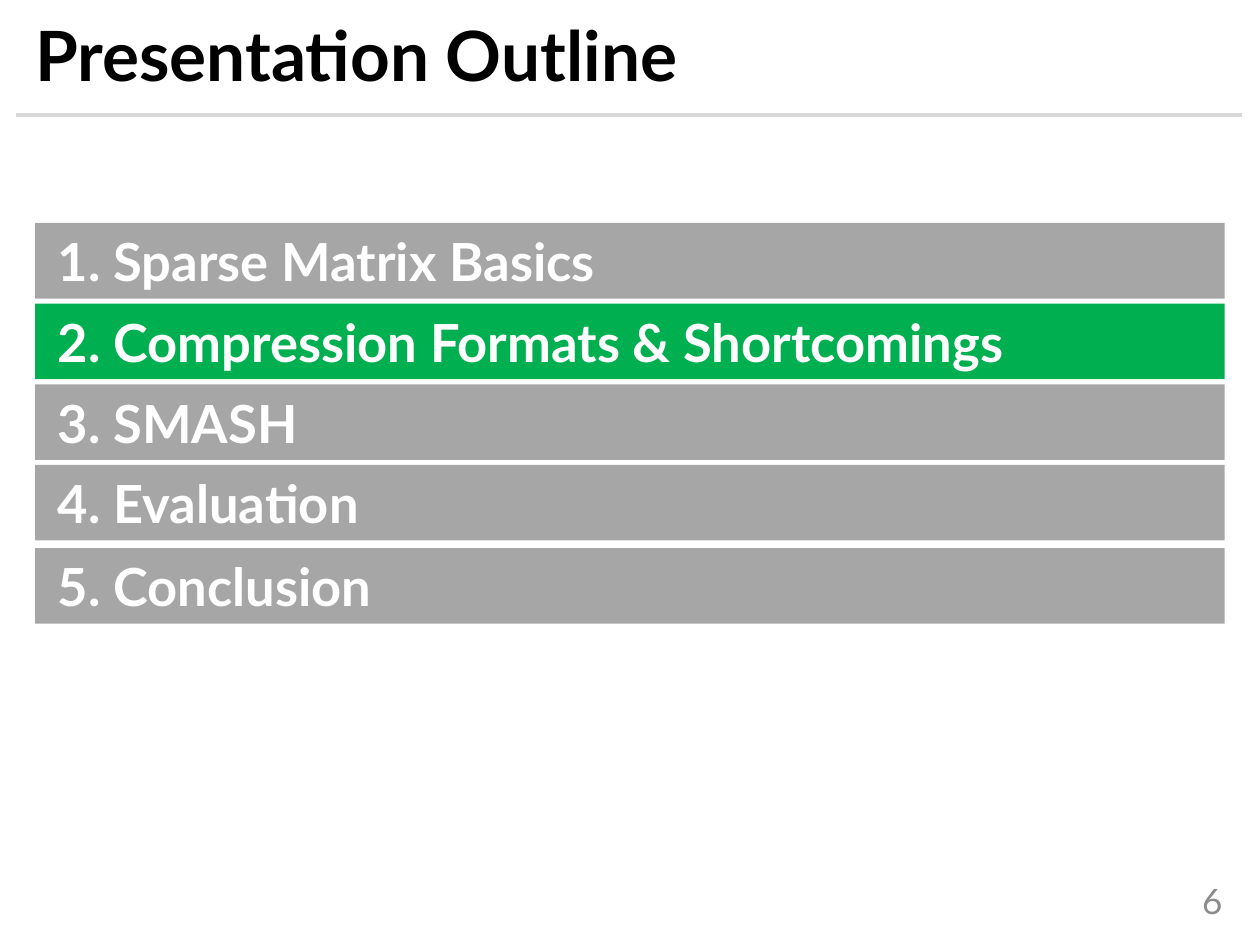
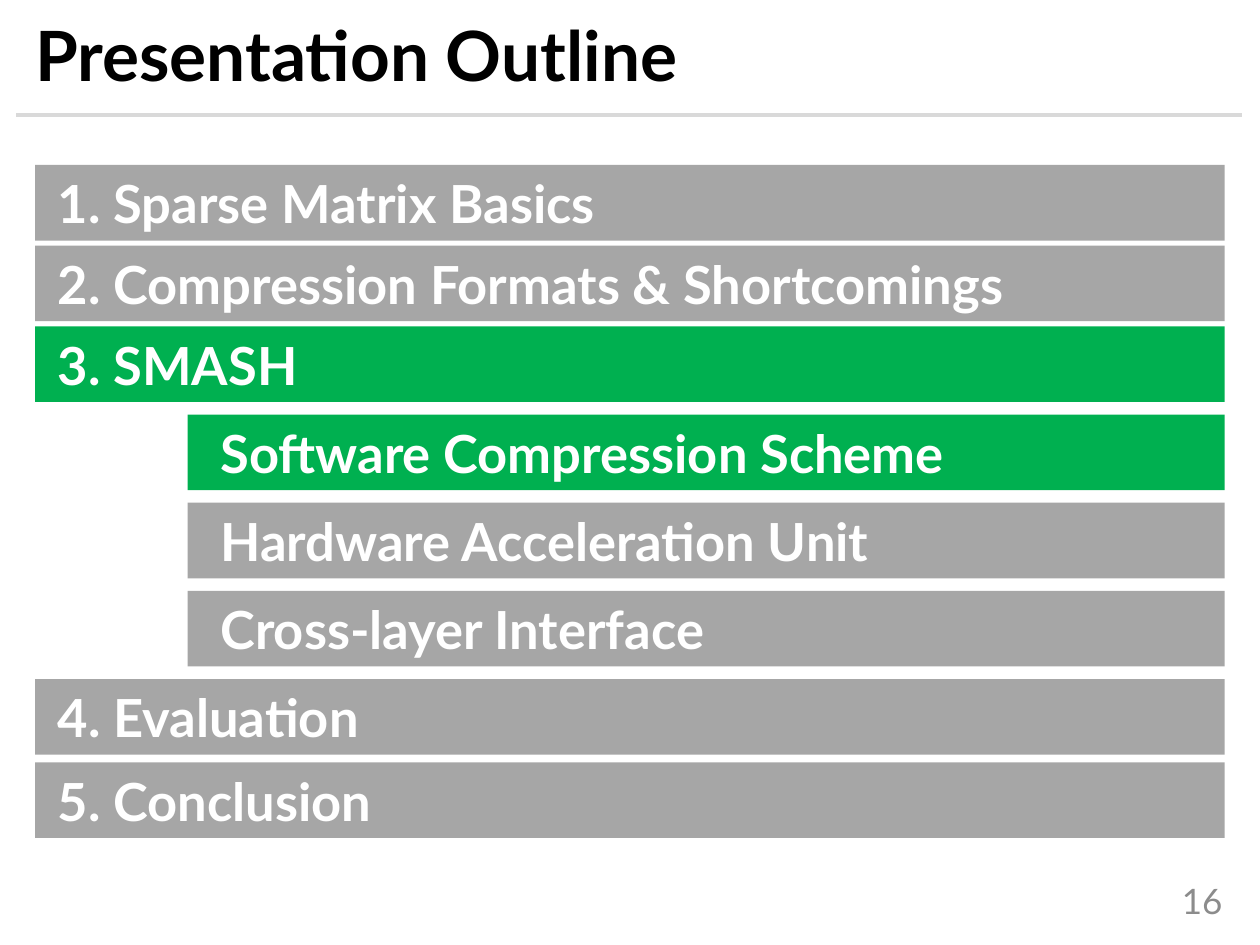
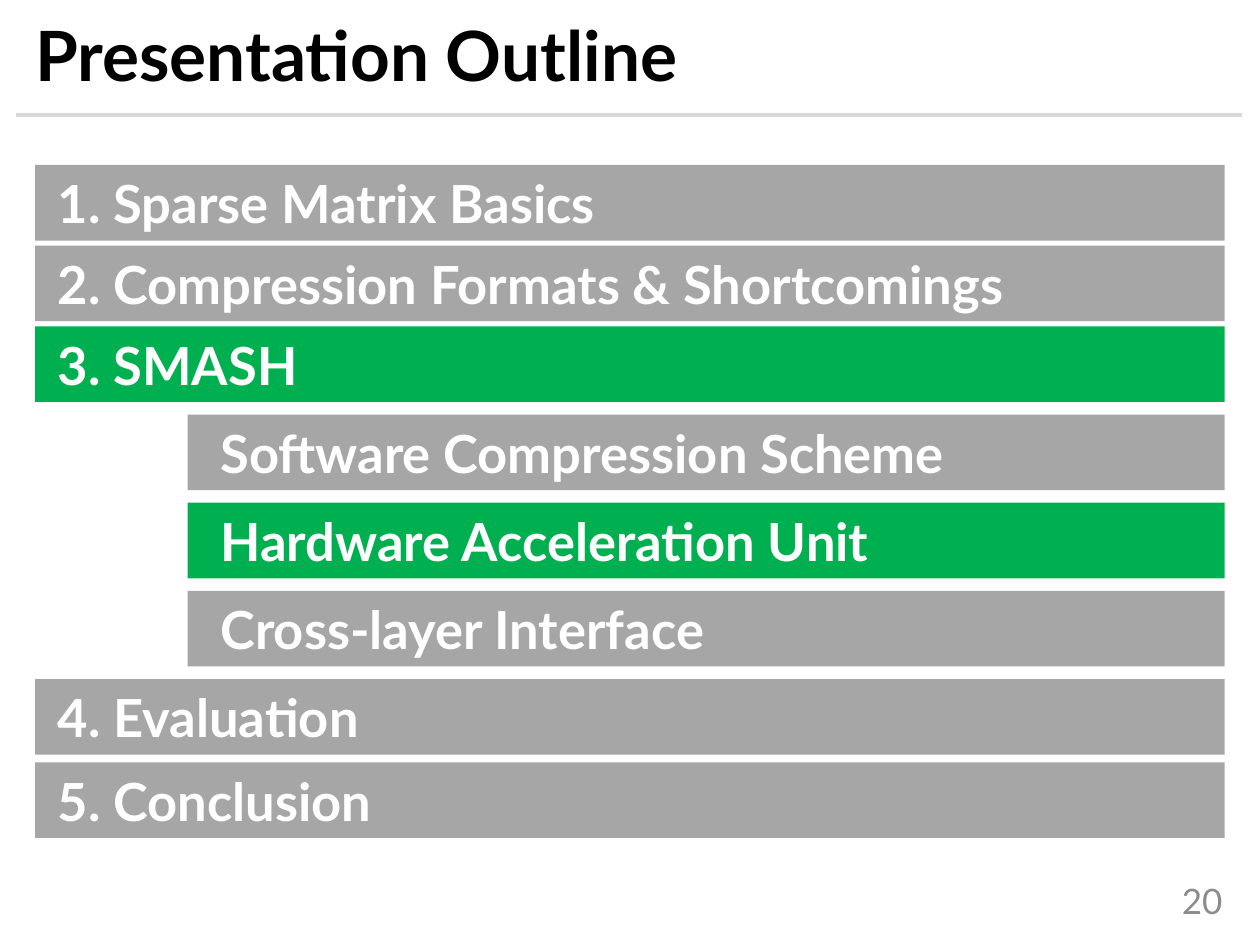
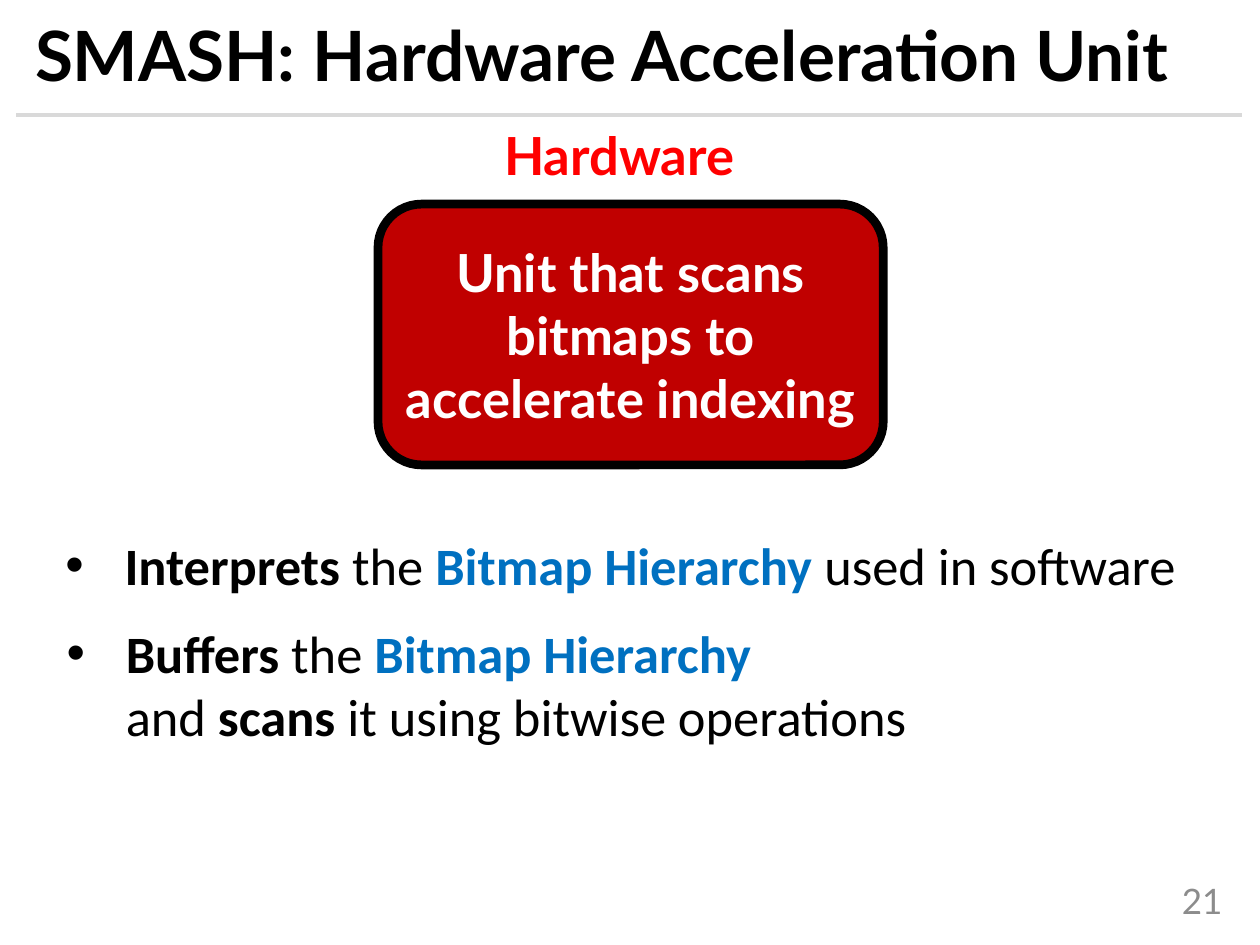
from dataclasses import dataclass

from lxml import etree
from pptx import Presentation
from pptx.dml.color import RGBColor
from pptx.enum.shapes import MSO_CONNECTOR, MSO_SHAPE
from pptx.enum.text import MSO_ANCHOR, PP_ALIGN
from pptx.oxml.ns import qn
from pptx.util import Inches, Pt

LEFT, CENTER, RIGHT = PP_ALIGN.LEFT, PP_ALIGN.CENTER, PP_ALIGN.RIGHT
TOP, MIDDLE = MSO_ANCHOR.TOP, MSO_ANCHOR.MIDDLE
RECTANGLE, ROUNDED = MSO_SHAPE.RECTANGLE, MSO_SHAPE.ROUNDED_RECTANGLE
STRAIGHT = MSO_CONNECTOR.STRAIGHT


@dataclass(frozen=True)
class Theme:
    black: str = "000000"
    white: str = "FFFFFF"
    rule: str = "D9D9D9"
    number: str = "8C8C8C"
    idle: str = "A6A6A6"
    active: str = "00B050"
    heading: str = "FF0000"
    unit: str = "C00000"
    term: str = "0070C0"
    font: str = "Lato"
    bullet_font: str = "Calibri"
    title_size: float = 39.6
    body_size: float = 30
    number_size: float = 20
    rule_width: float = 2.25
    unit_line: float = 5


THEME = Theme()

CHAPTER_GAP, TOPIC_GAP, LAST_GAP = 0.04, 0.1, 0.06
BAR_HEIGHT, BAR_RIGHT = 0.6, 9.72
CHAPTER_LEFT, TOPIC_LEFT = 0.28, 1.49
CHAPTER_INSET, TOPIC_INSET = 0.18, 0.26
TITLE_BOX = (0.18, 0.14, 9.73, 0.66)
NUMBER_BOX = (8.72, 6.95, 1.08, 0.4)
RULE_LEFT, RULE_RIGHT, RULE_TOP = 0.13, 9.86, 0.91
BULLET_INDENT = 0.47

OUTLINE_TITLE = "Presentation Outline"
CHAPTERS = [
    "1. Sparse Matrix Basics",
    "2. Compression Formats & Shortcomings",
    "3. SMASH",
    "4. Evaluation",
    "5. Conclusion",
]
SMASH = CHAPTERS[2]
TOPICS = [
    "Software Compression Scheme",
    "Hardware Acceleration Unit",
    "Cross-layer Interface",
]
OUTLINES = [
    {"number": "6", "top": 1.77, "topics": [], "active": {CHAPTERS[1]}},
    {"number": "16", "top": 1.31, "topics": TOPICS, "active": {SMASH, TOPICS[0]}},
    {"number": "20", "top": 1.31, "topics": TOPICS, "active": {SMASH, TOPICS[1]}},
]

UNIT_NUMBER = "21"
UNIT_TITLE = "SMASH: Hardware Acceleration Unit"
UNIT_HEADING = ("Hardware", (3.84, 0.93, 2.15, 0.61))
UNIT_SUMMARY = ("Unit that scans bitmaps to accelerate indexing", (3, 1.62, 4.01, 2.07))
UNIT_DUTIES = [
    ((0.42, 4.18, 9.37, 0.62), [
        [("Interprets", "strong"), (" the ", "plain"),
         ("Bitmap Hierarchy ", "term"), ("used in software", "plain")],
    ]),
    ((0.43, 4.88, 9.37, 1.11), [
        [("Buffers", "strong"), (" the ", "plain"), ("Bitmap Hierarchy", "term")],
        [("and ", "plain"), ("scans", "strong"),
         (" it using bitwise operations", "plain")],
    ]),
]
DUTY_STYLES = {
    "plain": (THEME.black, False),
    "strong": (THEME.black, True),
    "term": (THEME.term, True),
}


def rgb(color):
    return RGBColor.from_string(color)


def add_run(paragraph, text, size, color, bold=False, font=THEME.font):
    run = paragraph.add_run()
    run.text = text
    run.font.name = font
    run.font.size = Pt(size)
    run.font.bold = bold
    run.font.color.rgb = rgb(color)


def prepare_frame(shape, anchor, align=LEFT, inset=0.1):
    frame = shape.text_frame
    frame.word_wrap = True
    frame.vertical_anchor = anchor
    frame.margin_left = Inches(inset)
    frame.paragraphs[0].alignment = align
    return frame


def add_label(slide, box, text, size, color, bold=False, align=LEFT, anchor=MIDDLE):
    label = slide.shapes.add_textbox(*map(Inches, box))
    paragraph = prepare_frame(label, anchor, align).paragraphs[0]
    add_run(paragraph, text, size, color, bold)
    return paragraph


def add_block(slide, kind, box, fill):
    block = slide.shapes.add_shape(kind, *map(Inches, box))
    block.shadow.inherit = False
    block.fill.solid()
    block.fill.fore_color.rgb = rgb(fill)
    block.line.fill.background()
    return block


def add_base_slide(deck, title, number):
    slide = deck.slides.add_slide(deck.slide_layouts[6])
    add_label(slide, NUMBER_BOX, number, THEME.number_size, THEME.number, align=RIGHT)
    rule = slide.shapes.add_connector(
        STRAIGHT, Inches(RULE_LEFT), Inches(RULE_TOP), Inches(RULE_RIGHT), Inches(RULE_TOP))
    rule.line.color.rgb = rgb(THEME.rule)
    rule.line.width = Pt(THEME.rule_width)
    etree.SubElement(rule.element.spPr, qn("a:effectLst"))
    heading = add_label(slide, TITLE_BOX, title, THEME.title_size, THEME.black, True)
    heading.line_spacing = 0.9
    return slide


def gap_between(previous, entry):
    if previous in TOPICS or entry in TOPICS:
        return TOPIC_GAP
    return LAST_GAP if entry == CHAPTERS[-1] else CHAPTER_GAP


def add_outline(deck, outline):
    slide = add_base_slide(deck, OUTLINE_TITLE, outline["number"])
    split = CHAPTERS.index(SMASH) + 1
    entries = CHAPTERS[:split] + outline["topics"] + CHAPTERS[split:]
    top = outline["top"]
    for position, entry in enumerate(entries):
        if position:
            top += BAR_HEIGHT + gap_between(entries[position - 1], entry)
        is_topic = entry in TOPICS
        left = TOPIC_LEFT if is_topic else CHAPTER_LEFT
        fill = THEME.active if entry in outline["active"] else THEME.idle
        bar = add_block(slide, RECTANGLE, (left, top, BAR_RIGHT - left, BAR_HEIGHT), fill)
        frame = prepare_frame(bar, MIDDLE, inset=TOPIC_INSET if is_topic else CHAPTER_INSET)
        add_run(frame.paragraphs[0], entry, THEME.body_size, THEME.white, True)


def indent_paragraph(paragraph, bulleted):
    properties = paragraph._p.get_or_add_pPr()
    properties.set("marL", str(Inches(BULLET_INDENT)))
    properties.set("indent", str(-Inches(BULLET_INDENT) if bulleted else 0))
    if bulleted:
        etree.SubElement(properties, qn("a:buFont")).set("typeface", "Arial")
        etree.SubElement(properties, qn("a:buChar")).set("char", "•")


def add_duty(slide, box, lines):
    duty = add_block(slide, RECTANGLE, box, THEME.white)
    frame = prepare_frame(duty, TOP)
    for position, line in enumerate(lines):
        paragraph = frame.add_paragraph() if position else frame.paragraphs[0]
        paragraph.alignment = LEFT
        indent_paragraph(paragraph, bulleted=position == 0)
        for text, style in line:
            color, bold = DUTY_STYLES[style]
            add_run(paragraph, text, THEME.body_size, color, bold, THEME.bullet_font)


def add_unit_slide(deck):
    slide = add_base_slide(deck, UNIT_TITLE, UNIT_NUMBER)
    summary, summary_box = UNIT_SUMMARY
    unit = add_block(slide, ROUNDED, summary_box, THEME.unit)
    unit.line.color.rgb = rgb(THEME.black)
    unit.line.width = Pt(THEME.unit_line)
    paragraph = prepare_frame(unit, MIDDLE, CENTER).paragraphs[0]
    add_run(paragraph, summary, THEME.body_size, THEME.white, True)
    heading, heading_box = UNIT_HEADING
    add_label(slide, heading_box, heading, THEME.body_size, THEME.heading, True, CENTER, TOP)
    for box, lines in UNIT_DUTIES:
        add_duty(slide, box, lines)


def main():
    deck = Presentation()
    deck.slide_width, deck.slide_height = Inches(10), Inches(7.5)
    for outline in OUTLINES:
        add_outline(deck, outline)
    add_unit_slide(deck)
    deck.save("out.pptx")


if __name__ == "__main__":
    main()
